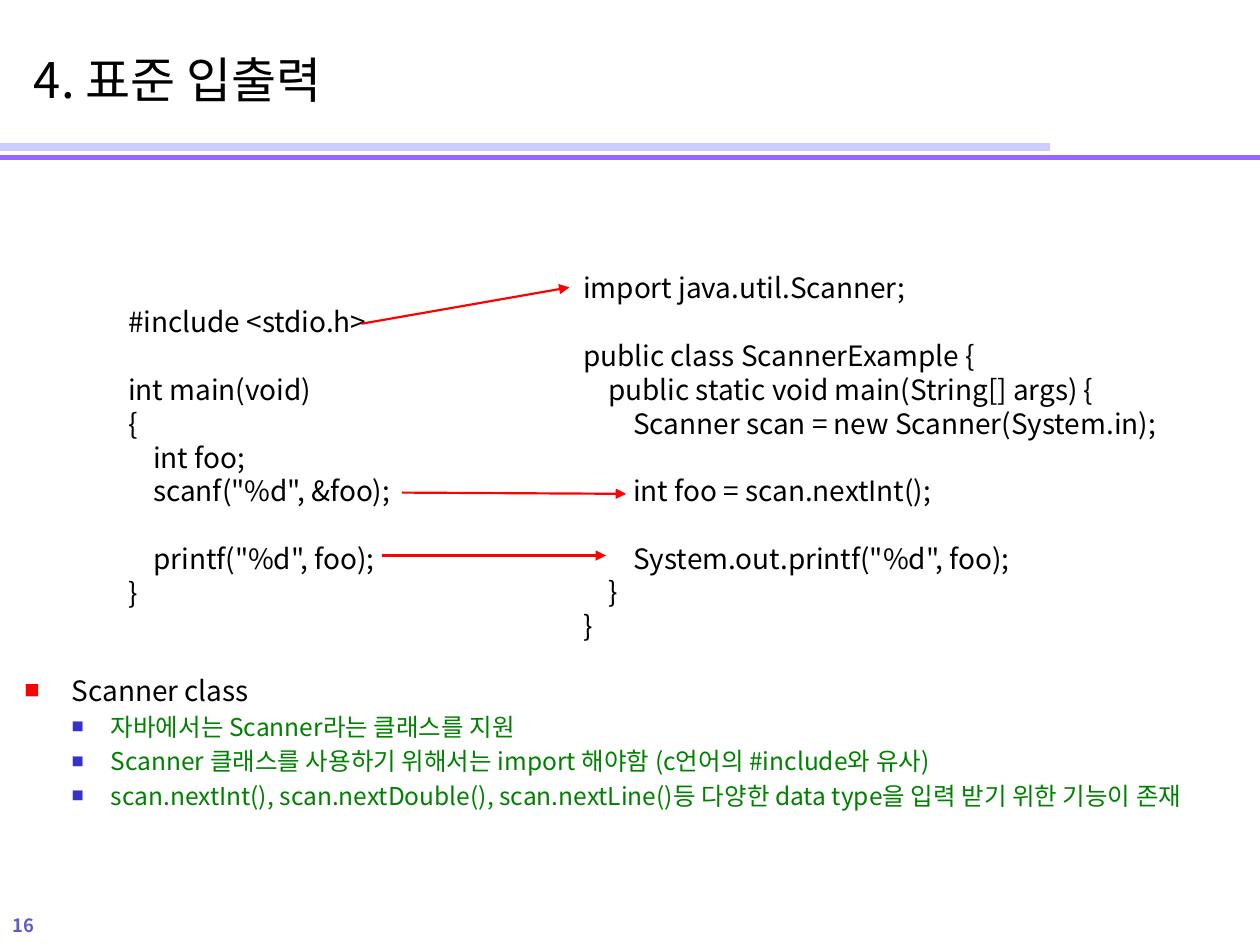
from lxml import etree
from pptx import Presentation
from pptx.dml.color import RGBColor
from pptx.enum.shapes import MSO_CONNECTOR
from pptx.enum.text import MSO_ANCHOR, MSO_AUTO_SIZE, PP_ALIGN
from pptx.oxml.ns import qn
from pptx.util import Pt

FONT = "Noto Sans CJK KR"
STRAIGHT = MSO_CONNECTOR.STRAIGHT
LEFT = PP_ALIGN.LEFT
TOP, MIDDLE = MSO_ANCHOR.TOP, MSO_ANCHOR.MIDDLE
NO_AUTOFIT = MSO_AUTO_SIZE.NONE

BLACK = RGBColor(0x00, 0x00, 0x00)
RED = RGBColor(0xFF, 0x00, 0x00)
GREEN = RGBColor(0x00, 0x80, 0x00)
BLUE = RGBColor(0x33, 0x33, 0xCC)
LAVENDER = RGBColor(0xCC, 0xCC, 0xFF)
PURPLE = RGBColor(0x99, 0x66, 0xFF)
NUMBER_BLUE = RGBColor(0x5D, 0x5D, 0xC9)

TITLE = "4. 표준 입출력"
PAGE_NUMBER = "16"

# Code lines: (indent level, blank lines before, text)
C_CODE = [
    (0, 0, "#include <stdio.h>"),
    (0, 1, "int main(void)"),
    (0, 0, "{"),
    (1, 0, "int foo;"),
    (1, 0, 'scanf("%d", &foo);'),
    (1, 1, 'printf("%d", foo);'),
    (0, 0, "}"),
]
JAVA_CODE = [
    (0, 0, "import java.util.Scanner;"),
    (0, 1, "public class ScannerExample {"),
    (1, 0, "public static void main(String[] args) {"),
    (2, 0, "Scanner scan = new Scanner(System.in);"),
    (2, 1, "int foo = scan.nextInt();"),
    (2, 1, 'System.out.printf("%d", foo);'),
    (1, 0, "}"),
    (0, 0, "}"),
]
# Code blocks: (lines, (left, top, width, height))
CODE_BLOCKS = [
    (C_CODE, (66.2, 170.6, 164.2, 181.4)),
    (JAVA_CODE, (326.2, 151.2, 344.9, 220.3)),
]
CODE_LINE, CODE_INDENT = 19.3, 14.3

# Lines: (start, end, colour, width, has arrowhead)
RULES = [
    ((0, 84.2), (600, 84.2), LAVENDER, 4.5, False),
    ((0, 90), (720, 90), PURPLE, 3, False),
]
ARROWS = [
    ((206.6, 185), (325.4, 164.2), RED, 1.25, True),
    ((229.7, 281.5), (357.8, 282.2), RED, 1.25, True),
    ((218.2, 317.5), (346.3, 317.5), RED, 1.25, True),
]

BULLETS = [
    (1, "Scanner class"),
    (2, "자바에서는 Scanner라는 클래스를 지원"),
    (2, "Scanner 클래스를 사용하기 위해서는 import 해야함 (c언어의 #include와 유사)"),
    (2, "scan.nextInt(), scan.nextDouble(), scan.nextLine()등 다양한 data type을 "
        "입력 받기 위한 기능이 존재"),
]
BULLET_STYLES = {
    1: dict(size=16, color=BLACK, margin=54, hanging=27, line=19.3, before=0,
            bullet=(RED, 55)),
    2: dict(size=14, color=GREEN, margin=76.3, hanging=22.3, line=16.9, before=2.8,
            bullet=(BLUE, 50)),
}


def place(shape, box):
    shape.left, shape.top, shape.width, shape.height = map(Pt, box)


def prepare_frame(shape, anchor=TOP):
    frame = shape.text_frame
    frame.word_wrap = True
    frame.auto_size = NO_AUTOFIT
    frame.vertical_anchor = anchor
    frame.margin_left, frame.margin_right = Pt(7.2), 0
    frame.margin_top = frame.margin_bottom = Pt(3.6)
    return frame


def add_bullet(properties, color, percent):
    bullet_color = etree.SubElement(properties, qn("a:buClr"))
    etree.SubElement(bullet_color, qn("a:srgbClr"), val=str(color))
    etree.SubElement(properties, qn("a:buSzPct"), val=str(percent * 1000))
    etree.SubElement(properties, qn("a:buFont"), typeface=FONT)
    etree.SubElement(properties, qn("a:buChar"), char="■")


def write(frame, text, size=16, color=BLACK, bold=False, level=0, margin=0,
          hanging=0, line=None, before=0, bullet=None):
    """Write one paragraph, using the empty first one when it is free."""
    paragraph = frame.paragraphs[0]
    if paragraph.runs:
        paragraph = frame.add_paragraph()
    paragraph.alignment = LEFT
    paragraph.level = level
    paragraph.space_before = Pt(before)
    if line:
        paragraph.line_spacing = Pt(line)
    run = paragraph.add_run()
    run.text = text
    run.font.name = FONT
    run.font.size = Pt(size)
    run.font.bold = bold
    run.font.color.rgb = color
    etree.SubElement(run.font._element, qn("a:ea"), typeface=FONT)
    properties = paragraph._p.get_or_add_pPr()
    properties.set("marL", str(Pt(margin)))
    properties.set("indent", str(-Pt(hanging)))
    if bullet:
        add_bullet(properties, *bullet)


def add_line(slide, start, end, color, width, has_arrowhead):
    connector = slide.shapes.add_connector(STRAIGHT, *map(Pt, start + end))
    connector.line.color.rgb = color
    connector.line.width = Pt(width)
    properties = connector._element.spPr
    if has_arrowhead:
        etree.SubElement(properties.find(qn("a:ln")), qn("a:tailEnd"), type="triangle")
    etree.SubElement(properties, qn("a:effectLst"))


def main():
    presentation = Presentation()
    presentation.slide_width, presentation.slide_height = Pt(720), Pt(540)
    slide = presentation.slides.add_slide(presentation.slide_layouts[1])
    title, body = slide.shapes.title, slide.placeholders[1]

    for rule in RULES:
        add_line(slide, *rule)

    place(title, (12.2, 12.2, 696.2, 65.5))
    write(prepare_frame(title, MIDDLE), TITLE, size=28)

    number = slide.shapes.add_textbox(0, Pt(519.1), Pt(66.2), Pt(20.9))
    write(prepare_frame(number), PAGE_NUMBER, size=10.5, color=NUMBER_BLUE, bold=True)

    for lines, box in CODE_BLOCKS:
        frame = prepare_frame(slide.shapes.add_textbox(*map(Pt, box)))
        for indent, blanks, text in lines:
            write(frame, text, margin=indent * CODE_INDENT, line=CODE_LINE,
                  before=blanks * CODE_LINE)

    for arrow in ARROWS:
        add_line(slide, *arrow)

    place(body, (-20.2, 380.9, 720, 102.2))
    frame = prepare_frame(body)
    for level, text in BULLETS:
        write(frame, text, level=level, **BULLET_STYLES[level])

    presentation.save("out.pptx")


if __name__ == "__main__":
    main()
